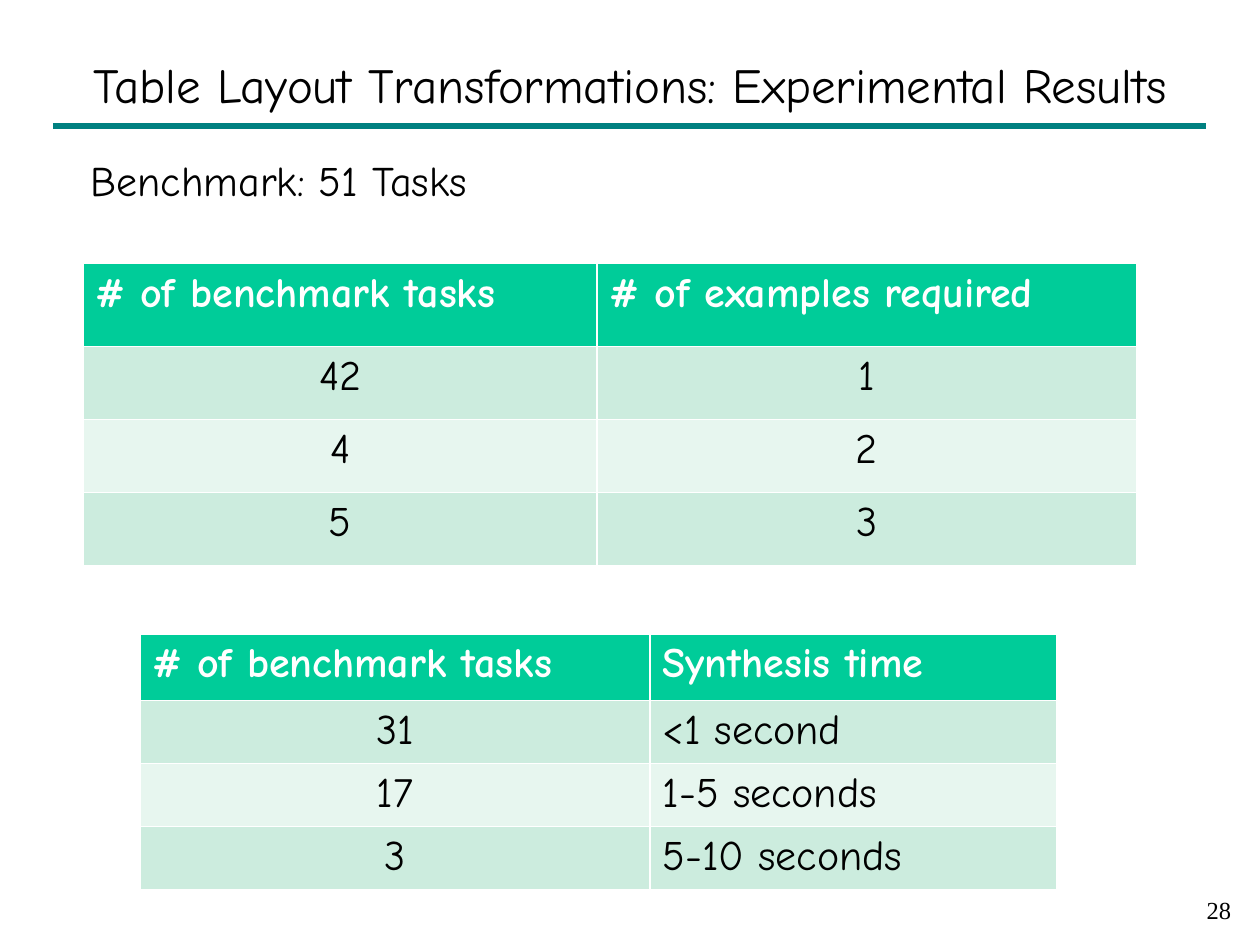
from lxml import etree
from pptx import Presentation
from pptx.dml.color import RGBColor
from pptx.enum import shapes, text
from pptx.oxml import ns
from pptx.util import Inches, Pt

HUES = {"rule": "008080", "head": "00CC99", "odd": "CCECDE", "even": "E7F6EF",
        "ink": "000000", "paper": "FFFFFF"}
LEFT, MID, RIGHT = text.PP_ALIGN.LEFT, text.PP_ALIGN.CENTER, text.PP_ALIGN.RIGHT


class Deck:
    """Holds the style and the current slide, and draws each kind of element."""

    def __init__(self, face="Comic Neue", size=24):
        self.face, self.size = face, size
        self.show = Presentation()
        self.show.slide_width, self.show.slide_height = Inches(10), Inches(7.5)
        self.slide = self.show.slides.add_slide(self.show.slide_layouts[6])

    def hue(self, name):
        return RGBColor.from_string(HUES[name])

    def letter(self, frame, words, align=LEFT, size=None, face=None, hue="ink", bold=False):
        para = frame.paragraphs[0]
        para.text, para.alignment = words, align
        font = para.font
        font.name, font.size, font.bold = face or self.face, Pt(size or self.size), bold
        font.color.rgb = self.hue(hue)

    def label(self, box, words, anchor=text.MSO_ANCHOR.TOP, **look):
        frame = self.slide.shapes.add_textbox(*map(Inches, box)).text_frame
        frame.word_wrap, frame.vertical_anchor = True, anchor
        self.letter(frame, words, **look)

    def rule(self, left, right, top, width):
        line = self.slide.shapes.add_connector(
            shapes.MSO_CONNECTOR.STRAIGHT, *map(Inches, (left, top, right, top)))
        line.line.color.rgb, line.line.width = self.hue("rule"), Pt(width)
        etree.SubElement(line._element.spPr, ns.qn("a:effectLst"))

    def table(self, left, top, widths, heights, rows, aligns):
        box = map(Inches, (left, top, sum(widths), sum(heights)))
        grid = self.slide.shapes.add_table(len(rows), len(widths), *box).table
        for col, width in zip(grid.columns, widths):
            col.width = Inches(width)
        for r, (row, height) in enumerate(zip(rows, heights)):
            grid.rows[r].height = Inches(height)
            fill = ("odd" if r % 2 else "even") if r else "head"
            for c, words in enumerate(row):
                cell = grid.cell(r, c)
                cell.fill.solid()
                cell.fill.fore_color.rgb = self.hue(fill)
                if r:
                    self.letter(cell.text_frame, words, aligns[c])
                else:
                    self.letter(cell.text_frame, words, hue="paper", bold=True)


def main():
    deck = Deck()
    deck.rule(0.42, 9.57, 1, 4)
    deck.label((7.79, 7.05, 2.08, 0.42), "28", align=RIGHT, size=14, face="Times New Roman")
    deck.label((0, 0.33, 10, 0.67), "Table Layout Transformations: Experimental Results",
               anchor=text.MSO_ANCHOR.MIDDLE, align=MID, size=28)
    deck.table(0.66, 2.09, (4.08, 4.28), (0.66, 0.58, 0.58, 0.58),
               [("# of benchmark tasks", "# of examples required"),
                ("42", "1"), ("4", "2"), ("5", "3")], (MID, MID))
    deck.table(1.11, 5.03, (4.05, 3.23), (0.53, 0.48, 0.48, 0.48),
               [("# of benchmark tasks", "Synthesis time"), ("31", "<1 second"),
                ("17", "1-5 seconds"), ("3", "5-10 seconds")], (MID, LEFT))
    deck.label((0.62, 1.18, 3.75, 0.5), "Benchmark: 51 Tasks")
    deck.show.save("out.pptx")


if __name__ == "__main__":
    main()
